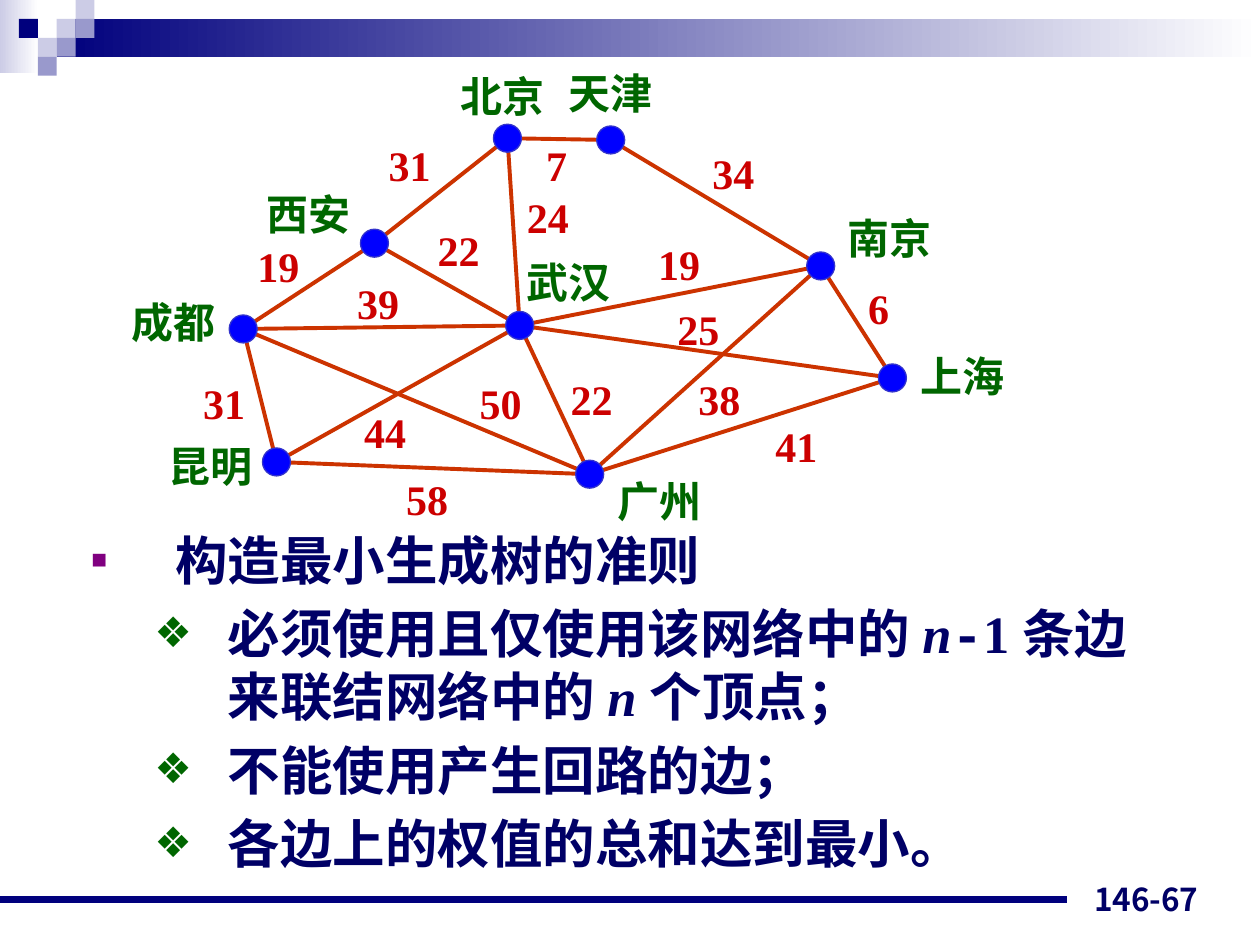
from math import hypot

from lxml import etree
from pptx import Presentation
from pptx.dml.color import RGBColor
from pptx.enum.shapes import MSO_CONNECTOR, MSO_SHAPE
from pptx.enum.text import MSO_ANCHOR, MSO_AUTO_SIZE, PP_ALIGN
from pptx.oxml.ns import qn
from pptx.util import Pt

RECTANGLE, OVAL = MSO_SHAPE.RECTANGLE, MSO_SHAPE.OVAL
STRAIGHT = MSO_CONNECTOR.STRAIGHT
TOP, BOTTOM = MSO_ANCHOR.TOP, MSO_ANCHOR.BOTTOM
LEFT, RIGHT = PP_ALIGN.LEFT, PP_ALIGN.RIGHT
NO_FIT, GROW = MSO_AUTO_SIZE.NONE, MSO_AUTO_SIZE.SHAPE_TO_FIT_TEXT

NAVY = RGBColor(0x00, 0x00, 0x7D)
LAVENDER = RGBColor(0xCC, 0xCC, 0xE6)
PERIWINKLE = RGBColor(0x99, 0x99, 0xCC)
WHITE = RGBColor(0xFF, 0xFF, 0xFF)
INK = RGBColor(0x00, 0x00, 0x66)
PURPLE = RGBColor(0x80, 0x00, 0x80)
GREEN = RGBColor(0x00, 0x66, 0x00)
RED = RGBColor(0xCC, 0x00, 0x00)
RUST = RGBColor(0xCC, 0x33, 0x00)
BLUE = RGBColor(0x00, 0x00, 0xFF)
NODE_EDGE = RGBColor(0x33, 0x33, 0xCC)

SERIF, SANS, MONO, CJK = "Times New Roman", "Arial", "Courier New", "Noto Sans CJK JP"
RADIUS = 8
TILE = 10.8

TILES = [
    (3, 1, LAVENDER), (4, 0, LAVENDER), (4, 1, PERIWINKLE), (2, 2, LAVENDER),
    (1, 1, NAVY), (3, 2, PERIWINKLE), (2, 3, PERIWINKLE),
]

# city: (node centre, label corner)
CITIES = {
    "武汉": ((229, 151), (226, 108)),
    "昆明": ((90, 229), (21, 213)),
    "南京": ((401, 117), (409, 83)),
    "北京": ((222, 44), (188, 2)),
    "上海": ((442, 181), (451, 162)),
    "成都": ((71, 153), (0, 131)),
    "西安": ((146, 104), (77, 69)),
    "广州": ((269, 236), (278, 233)),
    "天津": ((281, 45), (250, 0)),
}

# (from, to, weight, weight corner)
ROUTES = [
    ("武汉", "广州", 22, (251, 175)),
    ("成都", "西安", 19, (72, 99)),
    ("西安", "北京", 31, (147, 41)),
    ("昆明", "成都", 31, (41, 177)),
    ("昆明", "武汉", 44, (133, 194)),
    ("北京", "武汉", 24, (226, 71)),
    ("武汉", "南京", 19, (301, 98)),
    ("广州", "南京", 38, (324, 175)),
    ("南京", "上海", 6, (421, 123)),
    ("广州", "上海", 41, (368, 202)),
    ("昆明", "广州", 58, (157, 232)),
    ("成都", "武汉", 39, (129, 120)),
    ("西安", "武汉", 22, (175, 90)),
    ("成都", "广州", 50, (199, 177)),
    ("武汉", "上海", 25, (312, 135)),
    ("北京", "天津", 7, (237, 41)),
    ("天津", "南京", 34, (332, 46)),
]

CRITERIA = [
    [("必须使用且仅使用该网络中的 ", SERIF, False), ("n", SERIF, True), ("-", MONO, False),
     ("1 条边来联结网络中的 ", SERIF, False), ("n ", SERIF, True), ("个顶点；", SERIF, False)],
    [("不能使用产生回路的边；", SERIF, False)],
    [("各边上的权值的总和达到最小。", SERIF, False)],
]


def write(paragraph, text, size=24, font=SERIF, color=INK, italic=False):
    """Add one bold run to a paragraph."""
    run = paragraph.add_run()
    run.text = text
    run.font.size = Pt(size)
    run.font.name = font
    run.font.bold = True
    run.font.italic = italic
    run.font.color.rgb = color


def add_text(shapes, box, text, wrap=False, anchor=TOP, align=LEFT, **style):
    """Add a text box holding one line."""
    frame = shapes.add_textbox(*map(Pt, box)).text_frame
    frame.word_wrap = wrap
    frame.auto_size = NO_FIT if wrap else GROW
    frame.vertical_anchor = anchor
    frame.paragraphs[0].alignment = align
    write(frame.paragraphs[0], text, **style)


def add_block(shapes, kind, box, color, fade=False, outline=None):
    """Add a filled shape, optionally fading to white or outlined."""
    shape = shapes.add_shape(kind, *map(Pt, box))
    shape.shadow.inherit = False
    if fade:
        shape.fill.gradient()
        shape.fill.gradient_angle = 0
        for stop, stop_color in zip(shape.fill.gradient_stops, (color, WHITE)):
            stop.color.rgb = stop_color
        shape.fill.gradient_stops[0].position = 0
        shape.fill.gradient_stops[1].position = 1
    else:
        shape.fill.solid()
        shape.fill.fore_color.rgb = color
    if outline is None:
        shape.line.fill.background()
    else:
        shape.line.color.rgb = outline
        shape.line.width = Pt(0.75)


def add_line(shapes, start, end, color, width):
    """Add a straight line without a shadow."""
    line = shapes.add_connector(STRAIGHT, *map(Pt, (*start, *end)))
    line.line.color.rgb = color
    line.line.width = Pt(width)
    etree.SubElement(line._element.spPr, qn("a:effectLst"))


def add_header(slide, left, top, width):
    """Draw the fading bar and the tile pattern along the top."""
    shapes = slide.shapes.add_group_shape().shapes
    add_block(shapes, RECTANGLE, (left, top, 22, 42), LAVENDER, fade=True)
    bar_left = 3 * TILE
    add_block(shapes, RECTANGLE, (left + bar_left, top + TILE, width - bar_left, 2 * TILE),
              NAVY, fade=True)
    for column, row, color in TILES:
        add_block(shapes, RECTANGLE, (left + column * TILE, top + row * TILE, TILE, TILE), color)


def add_network(slide, left, top):
    """Draw the weighted graph of cities."""
    shapes = slide.shapes.add_group_shape().shapes
    centres = {city: (left + x, top + y) for city, ((x, y), _) in CITIES.items()}
    for first, second, _, _ in ROUTES:
        (x1, y1), (x2, y2) = centres[first], centres[second]
        trim = 0.75 * RADIUS / hypot(x2 - x1, y2 - y1)
        dx, dy = trim * (x2 - x1), trim * (y2 - y1)
        add_line(shapes, (x1 + dx, y1 + dy), (x2 - dx, y2 - dy), RUST, 2.25)
    for x, y in centres.values():
        add_block(shapes, OVAL, (x - RADIUS, y - RADIUS, 2 * RADIUS, 2 * RADIUS),
                  BLUE, outline=NODE_EDGE)
    for city, (_, (x, y)) in CITIES.items():
        add_text(shapes, (left + x, top + y, 62.6, 36), city, color=GREEN)
    for _, _, weight, (x, y) in ROUTES:
        width = 14.4 + 12 * len(str(weight))
        add_text(shapes, (left + x, top + y, width, 36), str(weight), color=RED)


def format_bullet(paragraph, symbol, color, percent, margin, hanging):
    """Give a paragraph a coloured bullet and a hanging indent."""
    properties = paragraph._p.get_or_add_pPr()
    properties.set("marL", str(Pt(margin)))
    properties.set("indent", str(-Pt(hanging)))
    bullet_color = etree.SubElement(properties, qn("a:buClr"))
    etree.SubElement(bullet_color, qn("a:srgbClr"), val=str(color))
    etree.SubElement(properties, qn("a:buSzPct"), val=str(percent * 1000))
    etree.SubElement(properties, qn("a:buFont"), typeface=SANS)
    etree.SubElement(properties, qn("a:buChar"), char=symbol)


def add_criteria(slide, left, top, width, height):
    """Fill the body placeholder with the spanning tree criteria."""
    body = slide.placeholders[1]
    body.left, body.top, body.width, body.height = map(Pt, (left, top, width, height))
    frame = body.text_frame
    frame.auto_size = NO_FIT
    frame.vertical_anchor = TOP
    heading = frame.paragraphs[0]
    format_bullet(heading, "■", PURPLE, 50, 48, 48)
    heading.space_before = Pt(0)
    write(heading, "构造最小生成树的准则", size=30, font=SANS)
    for runs in CRITERIA:
        paragraph = frame.add_paragraph()
        paragraph.level = 1
        format_bullet(paragraph, "❖", GREEN, 80, 78, 42)
        paragraph.space_before = Pt(6)
        for text, font, italic in runs:
            write(paragraph, text, size=30, font=font, italic=italic)


def add_footer(slide, left, top, width):
    """Draw the bottom rule and the page number."""
    add_line(slide.shapes, (left, top + 22), (left + width - 110, top + 22), NAVY, 4.5)
    add_text(slide.shapes, (left + width - 196, top, 168, 36), "146-67", wrap=True,
             anchor=BOTTOM, align=RIGHT, size=18, font=CJK)


def main():
    """Build and save the slide."""
    presentation = Presentation()
    presentation.slide_width, presentation.slide_height = Pt(720), Pt(540)
    slide = presentation.slides.add_slide(presentation.slide_layouts[1])
    title = slide.shapes.title._element
    title.getparent().remove(title)
    add_header(slide, 0, 0, 720)
    add_footer(slide, 0, 492, 720)
    add_criteria(slide, 45, 298, 636, 219)
    add_network(slide, 68, 35)
    presentation.save("out.pptx")


if __name__ == "__main__":
    main()
